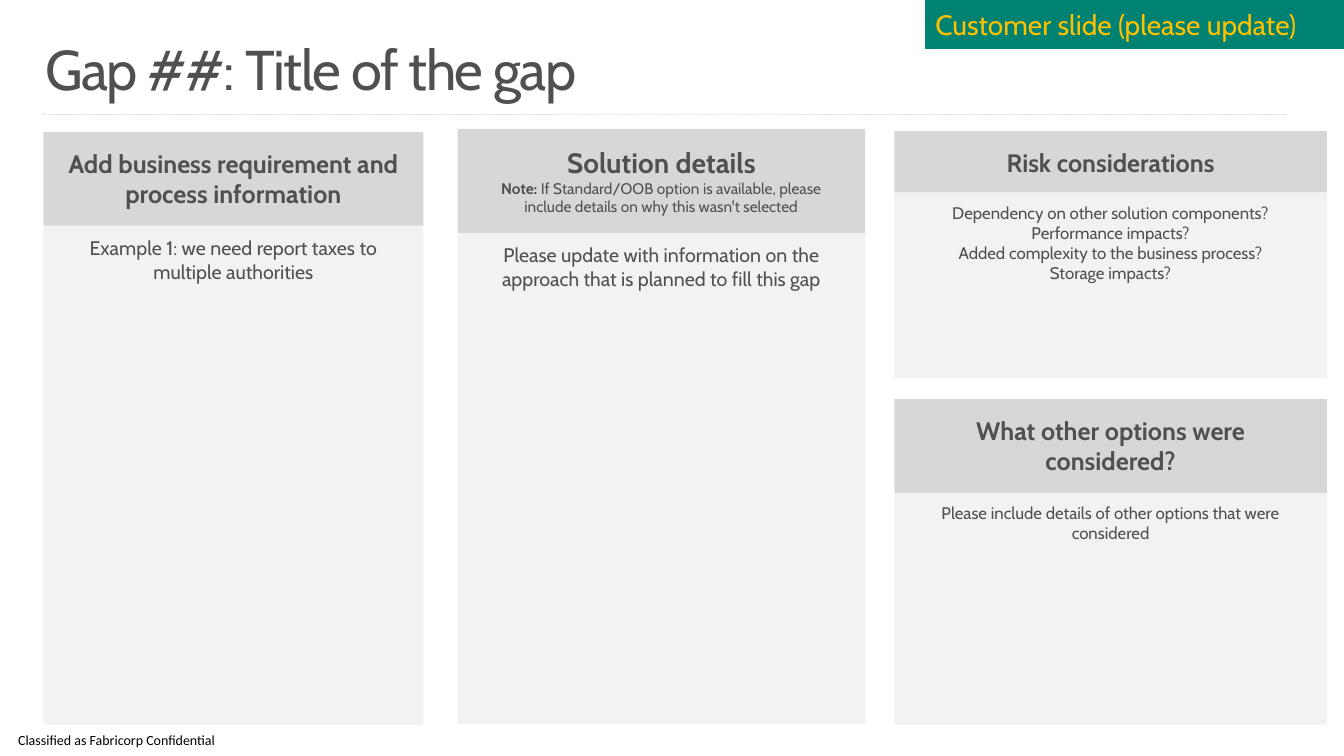
from dataclasses import dataclass

from lxml.etree import SubElement
from pptx import Presentation
from pptx.dml.color import RGBColor
from pptx.enum.dml import MSO_LINE
from pptx.enum.shapes import MSO_CONNECTOR, MSO_SHAPE
from pptx.enum.text import MSO_ANCHOR, PP_ALIGN
from pptx.oxml.ns import qn
from pptx.shapes.autoshape import Shape
from pptx.slide import Slide
from pptx.util import Emu, Pt

PX = 9144
GREY_TEXT = "505050"
HEADING_FILL = "D7D7DA"
BODY_FILL = "F2F2F2"
RULE_GREY = "D9D9D9"
TEAL = "008272"
GOLD = "FFC000"


@dataclass(frozen=True)
class Box:
    left: int
    top: int
    width: int
    height: int


@dataclass(frozen=True)
class Span:
    text: str
    size: int
    bold: bool = False
    color: str = GREY_TEXT
    font: str = "Cabin"


@dataclass(frozen=True)
class TextStyle:
    insets: tuple[int, int, int, int] = (10, 5, 10, 5)
    align: PP_ALIGN = PP_ALIGN.LEFT
    anchor: MSO_ANCHOR = MSO_ANCHOR.TOP
    line_spacing: float = 1.0


Lines = list[list[Span]]


@dataclass(frozen=True)
class Panel:
    left: int
    top: int
    width: int
    heading_height: int
    body_height: int
    heading: Lines
    body: Lines


HEADING_STYLE = TextStyle((20, 16, 20, 16), PP_ALIGN.CENTER)
BODY_STYLE = TextStyle((10, 10, 10, 5), PP_ALIGN.CENTER)
TITLE_STYLE = TextStyle((16, 10, 16, 10), line_spacing=0.9)
BANNER_STYLE = TextStyle(anchor=MSO_ANCHOR.MIDDLE)
FOOTER_STYLE = TextStyle((18, 0, 0, 0), anchor=MSO_ANCHOR.MIDDLE, line_spacing=0.9)

RISKS = [
    "Dependency on other solution components?",
    "Performance impacts?",
    "Added complexity to the business process?",
    "Storage impacts?",
]

PANELS = [
    Panel(43, 131, 377, 93, 495,
          [[Span("Add business requirement and process information", 18, True)]],
          [[Span("Example 1: we need report taxes to multiple authorities", 14)]]),
    Panel(887, 130, 429, 61, 184,
          [[Span("Risk considerations", 18, True)]],
          [[Span(risk, 12)] for risk in RISKS]),
    Panel(454, 128, 404, 103, 487,
          [[Span("Solution details", 20, True)],
           [Span("Note: ", 11, True),
            Span("If Standard/OOB option is available, please include details "
                 "on why this wasn't selected", 11)]],
          [[Span("Please update with information on the approach that is "
                 "planned to fill this gap", 14)]]),
    Panel(887, 396, 429, 93, 230,
          [[Span("What other options were considered?", 18, True)]],
          [[Span("Please include details of other options that were considered", 12)]]),
]


def px(length: int) -> Emu:
    """Turn px into EMU."""
    return Emu(length * PX)


def rgb(color: str) -> RGBColor:
    """Turn a hex string into a colour."""
    return RGBColor.from_string(color)


def place(box: Box) -> tuple[Emu, Emu, Emu, Emu]:
    """Return the box in EMU."""
    return px(box.left), px(box.top), px(box.width), px(box.height)


def write(shape: Shape, lines: Lines, style: TextStyle) -> None:
    """Fill a shape with formatted paragraphs."""
    frame = shape.text_frame
    frame.word_wrap = True
    frame.vertical_anchor = style.anchor
    (frame.margin_left, frame.margin_top,
     frame.margin_right, frame.margin_bottom) = map(px, style.insets)
    for index, spans in enumerate(lines):
        paragraph = frame.add_paragraph() if index else frame.paragraphs[0]
        paragraph.text = spans[0].text
        for span in spans[1:]:
            paragraph.add_run().text = span.text
        paragraph.alignment = style.align
        paragraph.line_spacing = style.line_spacing
        for run, span in zip(paragraph.runs, spans):
            run.font.name = span.font
            run.font.size = Pt(span.size)
            run.font.bold = span.bold
            run.font.color.rgb = rgb(span.color)


def add_text(slide: Slide, box: Box, span: Span, style: TextStyle) -> Shape:
    """Add a text box with one line."""
    shape = slide.shapes.add_textbox(*place(box))
    write(shape, [[span]], style)
    return shape


def add_block(slide: Slide, box: Box, fill: str, lines: Lines, style: TextStyle) -> Shape:
    """Add a filled rectangle with text and no outline."""
    shape = slide.shapes.add_shape(MSO_SHAPE.RECTANGLE, *place(box))
    shape.shadow.inherit = False
    shape.fill.solid()
    shape.fill.fore_color.rgb = rgb(fill)
    shape.line.fill.background()
    write(shape, lines, style)
    return shape


def add_panel(slide: Slide, panel: Panel) -> None:
    """Add a body block with its heading above."""
    body_top = panel.top + panel.heading_height
    add_block(slide, Box(panel.left, body_top, panel.width, panel.body_height),
              BODY_FILL, panel.body, BODY_STYLE)
    add_block(slide, Box(panel.left, panel.top, panel.width, panel.heading_height),
              HEADING_FILL, panel.heading, HEADING_STYLE)


def add_title(slide: Slide) -> None:
    """Add the tightly spaced title and the dashed rule under it."""
    title = add_text(slide, Box(29, 32, 1275, 96),
                     Span("Gap ##: Title of the gap", 40), TITLE_STYLE)
    run = title.text_frame.paragraphs[0].runs[0]
    run.font._element.set("spc", "-100")
    rule = slide.shapes.add_connector(
        MSO_CONNECTOR.STRAIGHT, px(43), px(113), px(1276), px(113))
    rule.line.color.rgb = rgb(RULE_GREY)
    rule.line.width = Pt(0.25)
    rule.line.dash_style = MSO_LINE.DASH
    SubElement(rule._element.spPr, qn("a:effectLst"))


def add_banner(slide: Slide) -> None:
    """Add the outlined banner in the top right corner."""
    banner = add_block(slide, Box(918, 0, 416, 48), TEAL,
                       [[Span("Customer slide (please update)", 20, color=GOLD)]],
                       BANNER_STYLE)
    banner.line.color.rgb = rgb(TEAL)
    banner.line.width = Pt(0.25)


def main() -> None:
    """Build and save the slide."""
    presentation = Presentation()
    presentation.slide_width = px(1333)
    presentation.slide_height = px(750)
    slide = presentation.slides.add_slide(presentation.slide_layouts[6])
    add_text(slide, Box(0, 721, 232, 29),
             Span("Classified as Fabricorp Confidential", 10, color="000000", font="Calibri"),
             FOOTER_STYLE)
    add_title(slide)
    add_banner(slide)
    for panel in PANELS:
        add_panel(slide, panel)
    presentation.save("out.pptx")


if __name__ == "__main__":
    main()
